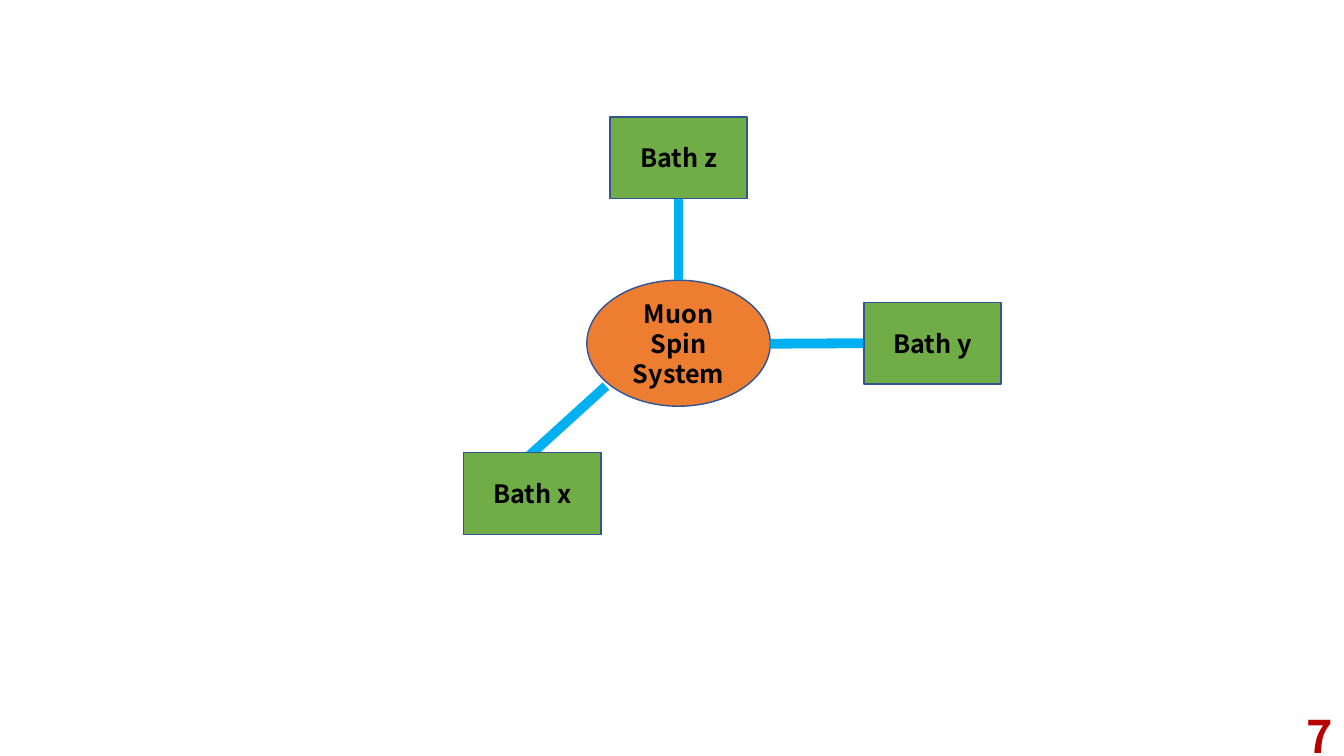
from dataclasses import dataclass
from typing import Optional

from lxml.etree import SubElement
from pptx import Presentation
from pptx.dml.color import RGBColor
from pptx.enum.shapes import MSO_CONNECTOR, MSO_SHAPE
from pptx.enum.text import MSO_ANCHOR, PP_ALIGN
from pptx.oxml.ns import qn
from pptx.util import Inches, Pt

FONT = "Noto Sans CJK JP"
BLACK = RGBColor(0x00, 0x00, 0x00)
RED = RGBColor(0xB8, 0x00, 0x00)
GREEN = RGBColor(0x70, 0xAD, 0x47)
ORANGE = RGBColor(0xED, 0x7D, 0x31)
SKY = RGBColor(0x00, 0xB0, 0xF0)
BATH_EDGE = RGBColor(0x32, 0x54, 0x91)
SYSTEM_EDGE = RGBColor(0x2F, 0x55, 0x97)
BATH_SIZE = (1.36, 0.81)


@dataclass(frozen=True)
class Bath:
    """A bath and its link; side is the rectangle side the link joins, if any."""
    label: str
    left: float
    top: float
    link_start: tuple[float, float]
    link_end: tuple[float, float]
    side: Optional[int] = None


BATHS = [
    Bath("Bath z", 6.05, 1.16, (6.73, 1.97), (6.73, 2.78), 2),
    Bath("Bath y", 8.57, 3.0, (8.57, 3.41), (7.64, 3.41), 1),
    Bath("Bath x", 4.6, 4.49, (5.13, 4.63), (6.01, 3.83)),
]


def write(frame, text: str, size: int, color: RGBColor, align: PP_ALIGN):
    frame.word_wrap = True
    frame.vertical_anchor = MSO_ANCHOR.MIDDLE
    paragraph = frame.paragraphs[0]
    paragraph.alignment = align
    run = paragraph.add_run()
    run.text = text
    run.font.name = FONT
    run.font.size = Pt(size)
    run.font.bold = True
    run.font.color.rgb = color
    return paragraph


def add_node(slide, kind: MSO_SHAPE, box: tuple[float, ...], label: str,
             fill: RGBColor, edge: RGBColor):
    node = slide.shapes.add_shape(kind, *map(Inches, box))
    node.shadow.inherit = False
    node.fill.solid()
    node.fill.fore_color.rgb = fill
    node.line.color.rgb = edge
    node.line.width = Pt(1)
    write(node.text_frame, label, 18, BLACK, PP_ALIGN.CENTER)
    return node


def add_bath(slide, bath: Bath) -> None:
    """Draw the link first so that the rectangle covers its end."""
    link = slide.shapes.add_connector(
        MSO_CONNECTOR.STRAIGHT, *map(Inches, bath.link_start + bath.link_end))
    link.line.color.rgb = SKY
    link.line.width = Pt(7)
    SubElement(link._element.spPr, qn("a:effectLst"))
    node = add_node(slide, MSO_SHAPE.RECTANGLE, (bath.left, bath.top, *BATH_SIZE),
                    bath.label, GREEN, BATH_EDGE)
    if bath.side is not None:
        link.begin_connect(node, bath.side)


def main() -> None:
    deck = Presentation()
    deck.slide_width, deck.slide_height = Inches(13.33), Inches(7.5)
    slide = deck.slides.add_slide(deck.slide_layouts[6])

    page_number = slide.shapes.add_textbox(
        Inches(12.51), Inches(7.1), Inches(0.81), Inches(0.4))
    write(page_number.text_frame, "7", 32, RED, PP_ALIGN.RIGHT)

    system = add_node(slide, MSO_SHAPE.OVAL, (5.82, 2.78, 1.82, 1.25),
                      "Muon Spin System", ORANGE, SYSTEM_EDGE)
    system.text_frame.paragraphs[0].line_spacing = Pt(21.5)
    for bath in BATHS:
        add_bath(slide, bath)

    deck.save("out.pptx")


if __name__ == "__main__":
    main()
